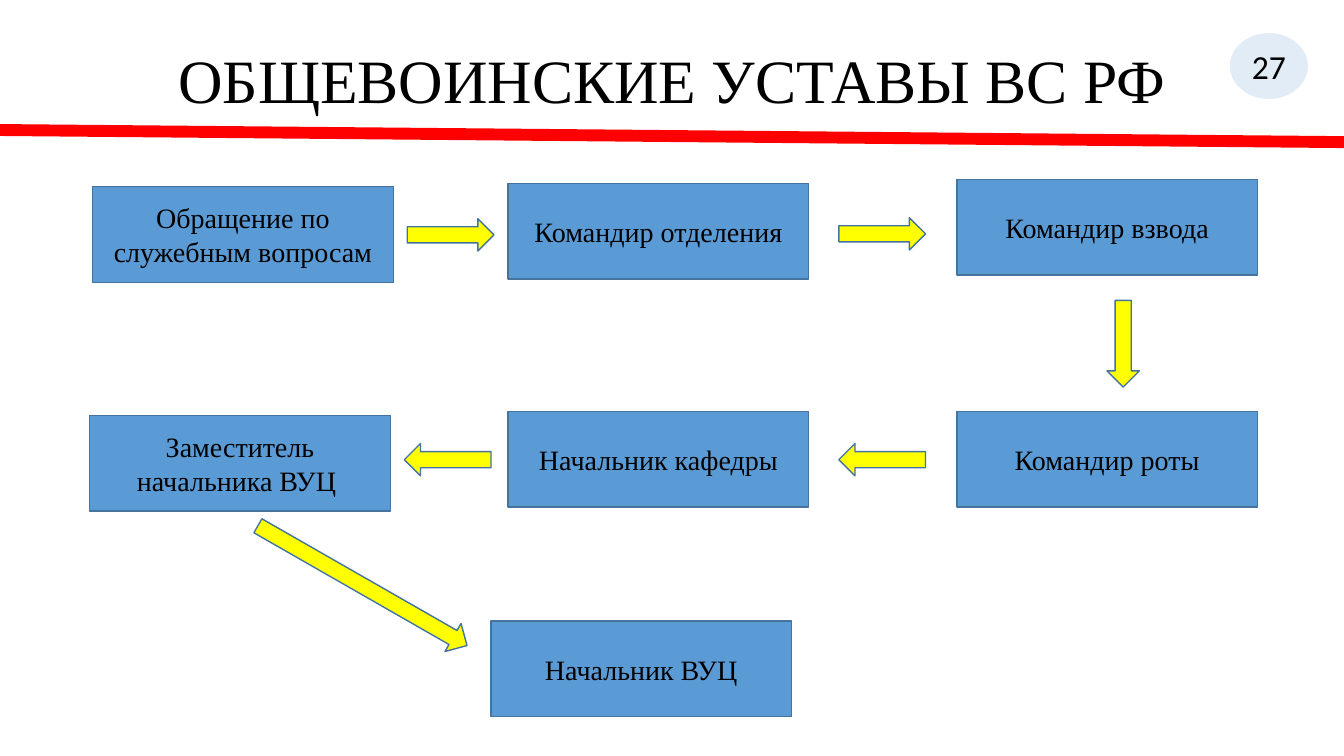
from dataclasses import dataclass

from lxml.etree import SubElement
from pptx import Presentation
from pptx.dml.color import RGBColor
from pptx.enum.shapes import MSO_CONNECTOR, MSO_SHAPE
from pptx.enum.text import MSO_ANCHOR, MSO_AUTO_SIZE, PP_ALIGN
from pptx.oxml.ns import qn
from pptx.util import Inches, Pt

WIDTH, HEIGHT = 13.33, 7.5
SERIF, SANS = "Times New Roman", "Calibri"
COLORS = {
    "box": "5B9BD5",
    "outline": "43739E",
    "arrow": "FFFF00",
    "rule": "FF0000",
    "text": "000000",
    "white": "FFFFFF",
}
COLS = (6.9, 37.81, 71.19)
ROWS = (24.27, 54.4, 82.13)
BOX_W, BOX_H = 22.36, 12.67
ARROW_H = 4.27


@dataclass(frozen=True)
class Box:
    text: str
    col: int
    row: int
    dx: float = 0
    dy: float = 0


@dataclass(frozen=True)
class Arrow:
    x: float
    y: float
    length: float = 6.45
    angle: float = 0


BOXES = (
    Box("Обращение по служебным вопросам", 0, 0, dy=0.4),
    Box("Командир отделения", 1, 0),
    Box("Командир взвода", 2, 0, dy=-0.53),
    Box("Командир роты", 2, 1),
    Box("Начальник кафедры", 1, 1),
    Box("Заместитель начальника ВУЦ ", 0, 1, dx=-0.22, dy=0.53),
    Box("Начальник ВУЦ", 1, 2, dx=-1.28),
)
ARROWS = (
    Arrow(33.53, 31.07),
    Arrow(65.64, 30.93),
    Arrow(83.57, 45.47, angle=90),
    Arrow(65.64, 60.8, angle=180),
    Arrow(33.31, 60.8, angle=180),
    Arrow(26.97, 77.47, length=17.93, angle=29.8),
)


def across(share: float) -> int:
    return Inches(WIDTH * share / 100)


def down(share: float) -> int:
    return Inches(HEIGHT * share / 100)


def color(name: str) -> RGBColor:
    return RGBColor.from_string(COLORS[name])


def write(shape, text: str, size: int, font: str) -> None:
    p = shape.text_frame.paragraphs[0]
    p.text = text
    p.alignment = PP_ALIGN.CENTER
    p.font.size = Pt(size)
    p.font.name = font
    p.font.color.rgb = color("text")


def add_shape(s, kind: MSO_SHAPE, x: float, y: float, w: float, h: float,
              fill: str, line: str = "outline"):
    sp = s.shapes.add_shape(kind, across(x), down(y), across(w), down(h))
    sp.shadow.inherit = False
    sp.fill.solid()
    sp.fill.fore_color.rgb = color(fill)
    sp.line.color.rgb = color(line)
    sp.line.width = Pt(1)
    return sp


def add_title(s, text: str) -> None:
    title = s.shapes.title
    title.left, title.top = across(COLS[0]), down(5.33)
    title.width, title.height = across(86.27), down(19.33)
    tf = title.text_frame
    tf.auto_size = MSO_AUTO_SIZE.NONE
    tf.vertical_anchor = MSO_ANCHOR.TOP
    tf.margin_top = Inches(0.1)
    write(title, text, 44, SERIF)
    tf.paragraphs[0].line_spacing = 0.9


def add_rule(s) -> None:
    rule = s.shapes.add_connector(
        MSO_CONNECTOR.STRAIGHT, 0, down(17.2), across(100), down(18.8))
    rule.line.color.rgb = color("rule")
    rule.line.width = Pt(8.5)
    SubElement(rule._element.spPr, qn("a:effectLst"))


def add_number(s, text: str) -> None:
    sp = add_shape(s, MSO_SHAPE.OVAL, 91.45, 4.27, 5.93, 8.93, "box", "white")
    rgb = sp._element.spPr.find(qn("a:solidFill")).find(qn("a:srgbClr"))
    SubElement(rgb, qn("a:alpha"), val="18000")
    sp.text_frame.word_wrap = False
    write(sp, text, 24, SANS)


def add_box(s, box: Box) -> None:
    sp = add_shape(s, MSO_SHAPE.RECTANGLE, COLS[box.col] + box.dx,
                   ROWS[box.row] + box.dy, BOX_W, BOX_H, "box")
    write(sp, box.text, 20, SERIF)


def add_arrow(s, arrow: Arrow) -> None:
    sp = add_shape(s, MSO_SHAPE.RIGHT_ARROW, arrow.x - arrow.length / 2,
                   arrow.y - ARROW_H / 2, arrow.length, ARROW_H, "arrow")
    sp.rotation = arrow.angle


def main() -> None:
    prs = Presentation()
    prs.slide_width, prs.slide_height = across(100), down(100)
    s = prs.slides.add_slide(prs.slide_layouts[5])
    add_title(s, "ОБЩЕВОИНСКИЕ УСТАВЫ ВС РФ")
    add_rule(s)
    add_number(s, "27")
    for box in BOXES:
        add_box(s, box)
    for arrow in ARROWS:
        add_arrow(s, arrow)
    prs.save("out.pptx")


if __name__ == "__main__":
    main()
